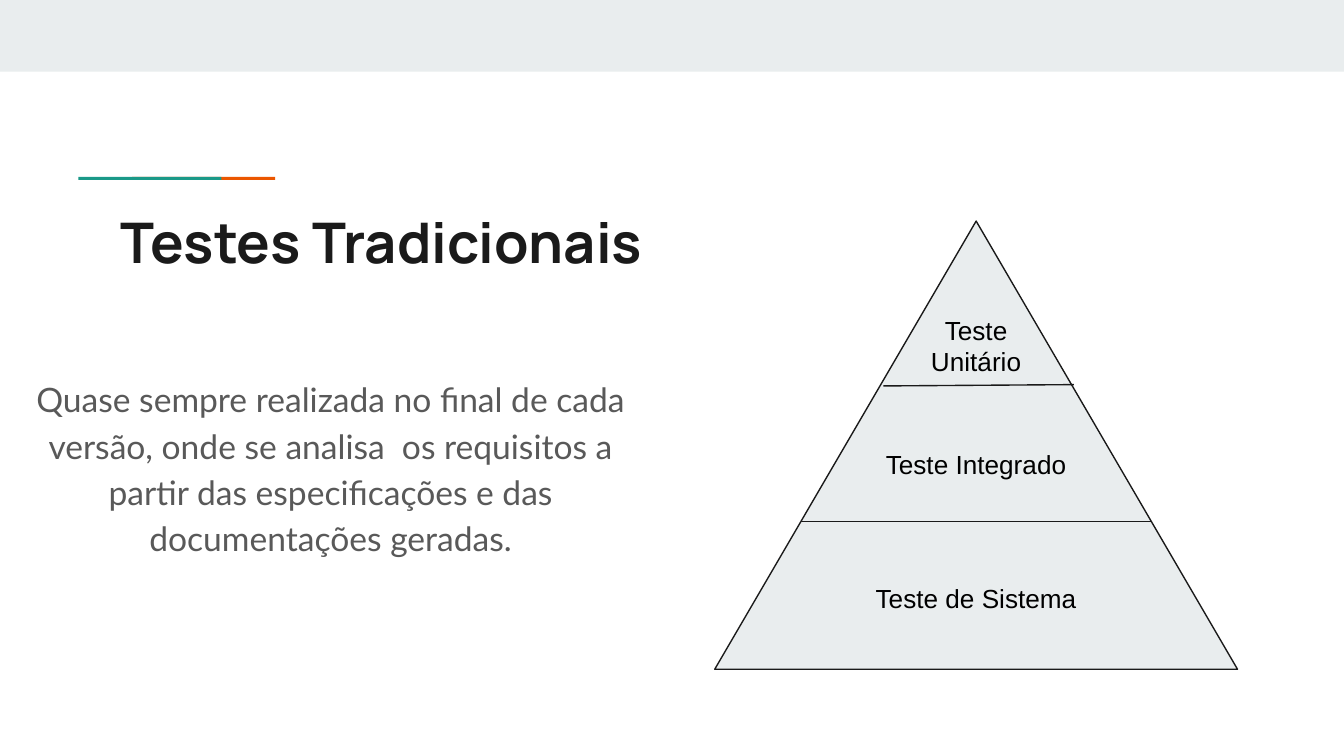
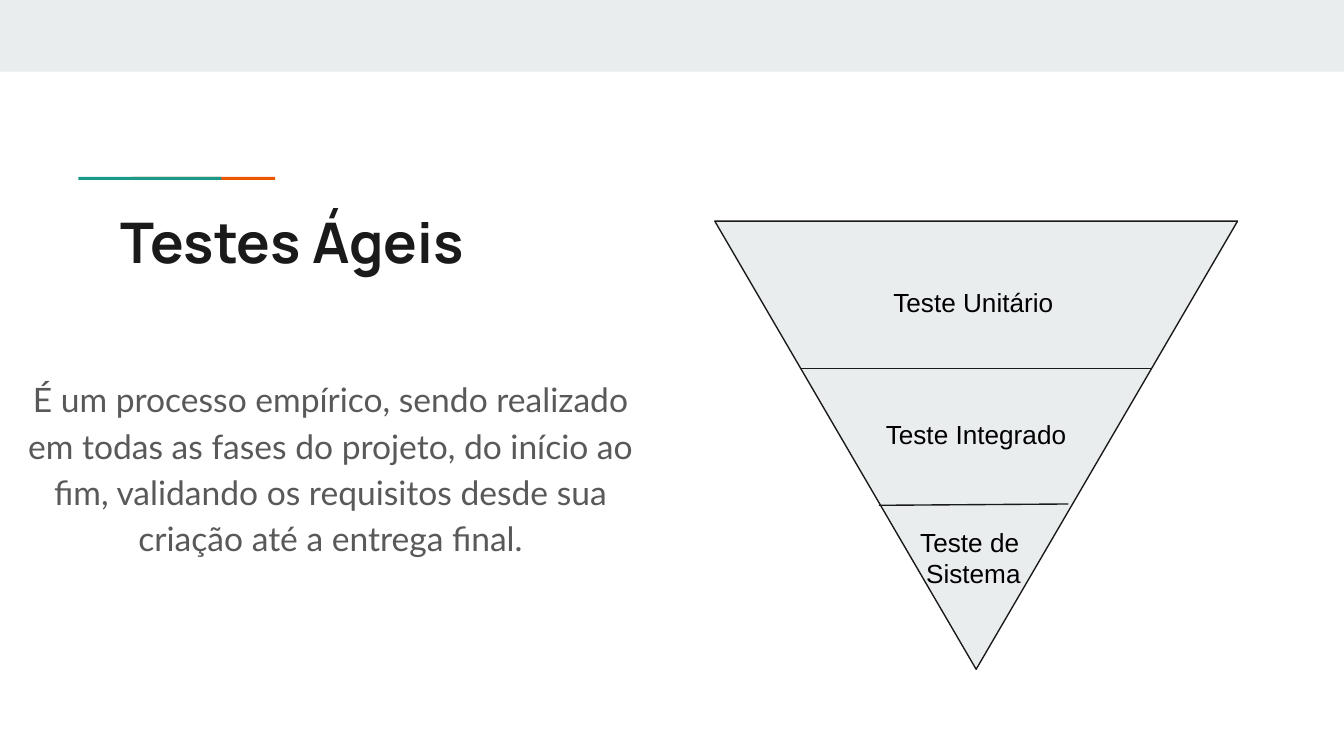
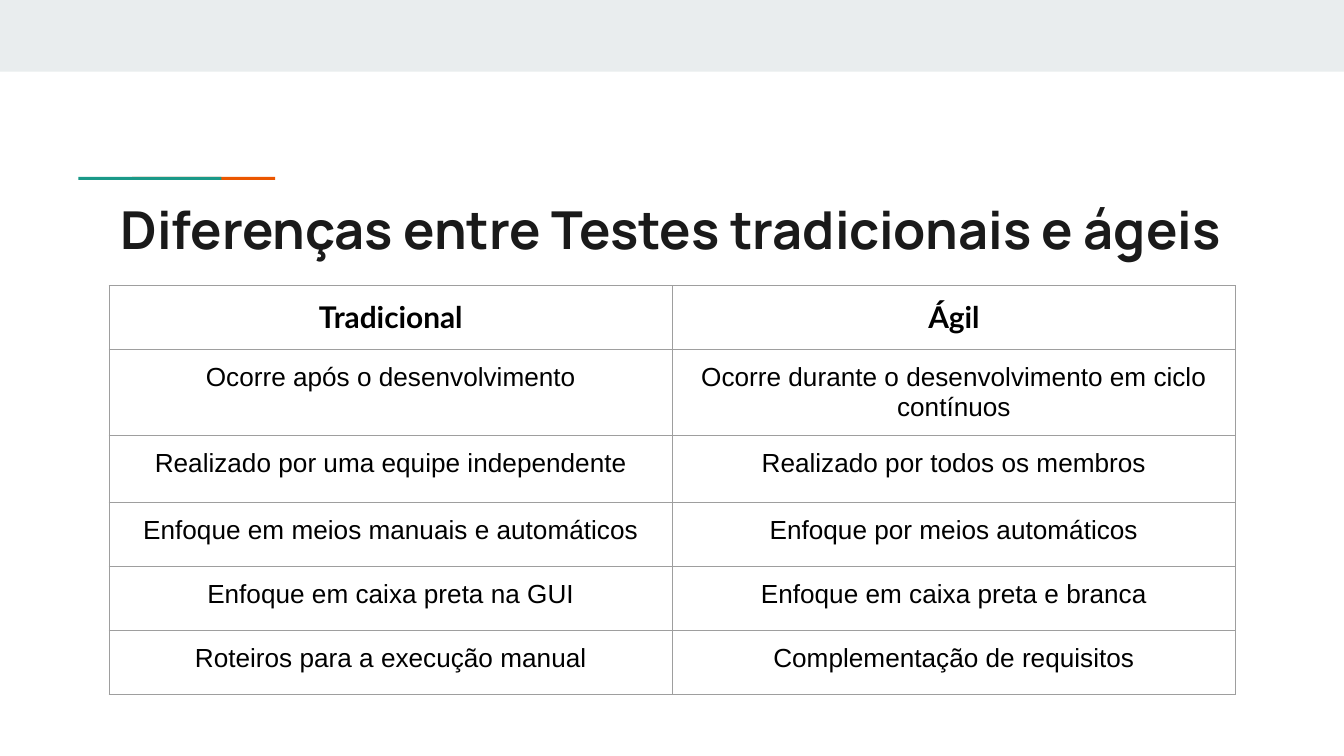
from dataclasses import dataclass
from typing import NamedTuple

from lxml.etree import SubElement
from pptx import Presentation
from pptx.dml.color import RGBColor
from pptx.enum.shapes import MSO_CONNECTOR, MSO_SHAPE
from pptx.enum.text import MSO_ANCHOR, PP_ALIGN
from pptx.oxml.ns import qn
from pptx.slide import Slide
from pptx.table import _Cell
from pptx.text.text import TextFrame
from pptx.util import Inches, Pt

WIDTH, HEIGHT = Inches(10), Inches(5.625)
COLUMN, ROW = WIDTH / 100, HEIGHT / 56.25

MIST = RGBColor(0xE9, 0xED, 0xEE)
ORANGE = RGBColor(0xEB, 0x56, 0x00)
TEAL = RGBColor(0x1A, 0x99, 0x88)
INK = RGBColor(0x1A, 0x1A, 0x1A)
GRAPHITE = RGBColor(0x59, 0x59, 0x59)
BLACK = RGBColor(0, 0, 0)
BORDER = RGBColor(0x9E, 0x9E, 0x9E)
LINE_WIDTH = Pt(0.75)
INSET = Inches(0.1)
MARGINS = {f"margin_{side}": INSET for side in ("left", "right", "top", "bottom")}
CELL_MARGINS = {**MARGINS, "margin_bottom": Inches(0.07)}


class Area(NamedTuple):
    column: float
    row: float
    columns: float
    rows: float

    def lengths(self) -> tuple[int, int, int, int]:
        return (round(self.column * COLUMN), round(self.row * ROW),
                round(self.columns * COLUMN), round(self.rows * ROW))


class Band(NamedTuple):
    area: Area
    color: RGBColor
    rotation: int


class Cut(NamedTuple):
    start_column: float
    start_row: float
    end_column: float
    end_row: float


class Label(NamedTuple):
    column: float
    row: float
    lines: tuple[str, ...]


@dataclass(frozen=True)
class Style:
    font: dict
    color: RGBColor
    paragraph: dict


@dataclass(frozen=True)
class TestPage:
    title: str
    title_columns: float
    description: str
    rotation: int
    cuts: tuple[Cut, ...]
    labels: tuple[Label, ...]


CENTERED = {"alignment": PP_ALIGN.CENTER}
TITLE = Style({"name": "Manrope", "size": Pt(30), "bold": True}, INK, {})
LONG_TITLE = Style({**TITLE.font, "size": Pt(28)}, INK, {})
BODY = Style({"name": "Lato", "size": Pt(18)}, GRAPHITE,
             {**CENTERED, "line_spacing": 1.15, "space_after": Pt(16)})
LABEL = Style({"name": "Arial", "size": Pt(14), "bold": False}, BLACK, CENTERED)
HEADER = Style({"name": "Lato", "size": Pt(16), "bold": True}, BLACK, CENTERED)

BANDS = (
    Band(Area(0, 0, 100, 5.33), MIST, 0),
    Band(Area(15.04, 7.95, 0.22, 10.65), ORANGE, 270),
    Band(Area(11.04, 7.95, 0.22, 10.65), TEAL, 270),
)
BODY_AREA = Area(0, 20.25, 49.2, 28.8)
TRIANGLE_AREA = Area(53.18, 16.45, 38.9, 33.35)
TABLE_AREA = Area(8.13, 21.25, 83.8, 28.8)
ROW_HEIGHTS = (4.77, 4.77, 4.98, 4.77, 4.77, 4.77)

TEST_PAGES = (
    TestPage(
        "Testes Tradicionais", 47.8,
        "Quase sempre realizada no final de cada versão, onde se analisa  os "
        "requisitos a partir das especificações e das documentações geradas.",
        180,
        (Cut(85.7, 38.8, 59.6, 38.8), Cut(79.9, 28.62, 65.73, 28.72)),
        (Label(63.33, 42.35, ("Teste de Sistema",)),
         Label(63.33, 32.4, ("Teste Integrado",)),
         Label(63.33, 22.4, ("Teste", "Unitário"))),
    ),
    TestPage(
        "Testes Ágeis", 84.1,
        "É um processo empírico, sendo realizado em todas as fases do projeto, "
        "do início ao fim, validando os requisitos desde sua criação até a "
        "entrega final.",
        0,
        (Cut(59.5, 27.4, 85.65, 27.4), Cut(65.4, 37.6, 79.5, 37.5)),
        (Label(63.13, 38.15, ("Teste de ", "Sistema")),
         Label(63.33, 30.15, ("Teste Integrado",)),
         Label(63.13, 20.3, ("Teste Unitário",))),
    ),
)

COMPARISON_TITLE = "Diferenças entre Testes tradicionais e ágeis"
COMPARISON = (
    ("Tradicional", "Ágil"),
    ("Ocorre após o desenvolvimento",
     "Ocorre durante o desenvolvimento em ciclo contínuos"),
    ("Realizado por uma equipe independente", "Realizado por todos os membros"),
    ("Enfoque em meios manuais e automáticos", "Enfoque por meios automáticos"),
    ("Enfoque em caixa preta na GUI", "Enfoque em caixa preta e branca"),
    ("Roteiros para a execução manual", "Complementação de requisitos"),
)


def apply(target: object, values: dict) -> None:
    for name, value in values.items():
        setattr(target, name, value)


def write(frame: TextFrame, lines: tuple[str, ...], style: Style) -> None:
    for index, line in enumerate(lines):
        para = frame.add_paragraph() if index else frame.paragraphs[0]
        apply(para, style.paragraph)
        span = para.add_run()
        span.text = line
        apply(span.font, style.font)
        span.font.color.rgb = style.color


def add_text(page: Slide, area: Area, lines: tuple[str, ...], style: Style,
             anchor: MSO_ANCHOR = MSO_ANCHOR.TOP) -> None:
    frame = page.shapes.add_textbox(*area.lengths()).text_frame
    apply(frame, {**MARGINS, "word_wrap": True, "vertical_anchor": anchor})
    write(frame, lines, style)


def add_band(page: Slide, band: Band) -> None:
    box = page.shapes.add_shape(MSO_SHAPE.RECTANGLE, *band.area.lengths())
    box.rotation = band.rotation
    box.shadow.inherit = False
    box.fill.solid()
    box.fill.fore_color.rgb = band.color
    box.line.fill.background()


def add_page(deck: Presentation, title: str, title_area: Area, style: Style) -> Slide:
    page = deck.slides.add_slide(deck.slide_layouts[6])
    for band in BANDS:
        add_band(page, band)
    add_text(page, title_area, (title,), style)
    return page


def add_triangle(page: Slide, rotation: int) -> None:
    triangle = page.shapes.add_shape(
        MSO_SHAPE.FLOWCHART_MERGE, *TRIANGLE_AREA.lengths())
    triangle.rotation = rotation
    triangle.shadow.inherit = False
    triangle.fill.solid()
    triangle.fill.fore_color.rgb = MIST
    triangle.line.color.rgb = INK
    triangle.line.width = LINE_WIDTH


def add_cut(page: Slide, cut: Cut) -> None:
    connector = page.shapes.add_connector(
        MSO_CONNECTOR.STRAIGHT,
        round(cut.start_column * COLUMN), round(cut.start_row * ROW),
        round(cut.end_column * COLUMN), round(cut.end_row * ROW))
    connector.line.color.rgb = INK
    connector.line.width = LINE_WIDTH
    SubElement(connector._element.spPr, qn("a:effectLst"))


def add_test_page(deck: Presentation, content: TestPage) -> None:
    title_area = Area(8, 14.45, content.title_columns, 5.9)
    page = add_page(deck, content.title, title_area, TITLE)
    add_text(page, BODY_AREA, (content.description,), BODY, MSO_ANCHOR.MIDDLE)
    add_triangle(page, content.rotation)
    for cut in content.cuts:
        add_cut(page, cut)
    for label in content.labels:
        add_text(page, Area(label.column, label.row, 18.6, 4.6), label.lines, LABEL)


def format_cell(cell: _Cell) -> None:
    apply(cell, CELL_MARGINS)
    cell.fill.background()
    properties = cell._tc.get_or_add_tcPr()
    for index, side in enumerate(("L", "R", "T", "B")):
        border = SubElement(properties, qn(f"a:ln{side}"), w=str(LINE_WIDTH))
        fill = SubElement(border, qn("a:solidFill"))
        SubElement(fill, qn("a:srgbClr"), val=str(BORDER))
        properties.insert(index, border)


def add_comparison_page(deck: Presentation) -> None:
    page = add_page(deck, COMPARISON_TITLE, Area(8, 13.7, 84.1, 5.9), LONG_TITLE)
    table = page.shapes.add_table(
        len(COMPARISON), len(COMPARISON[0]), *TABLE_AREA.lengths()).table
    apply(table, {"first_row": False, "horz_banding": False})
    for row_index, (height, texts) in enumerate(zip(ROW_HEIGHTS, COMPARISON)):
        table.rows[row_index].height = round(height * ROW)
        for column_index, text in enumerate(texts):
            cell = table.cell(row_index, column_index)
            format_cell(cell)
            write(cell.text_frame, (text,), LABEL if row_index else HEADER)


def main() -> None:
    deck = Presentation()
    apply(deck, {"slide_width": WIDTH, "slide_height": HEIGHT})
    for content in TEST_PAGES:
        add_test_page(deck, content)
    add_comparison_page(deck)
    deck.save("out.pptx")


if __name__ == "__main__":
    main()
